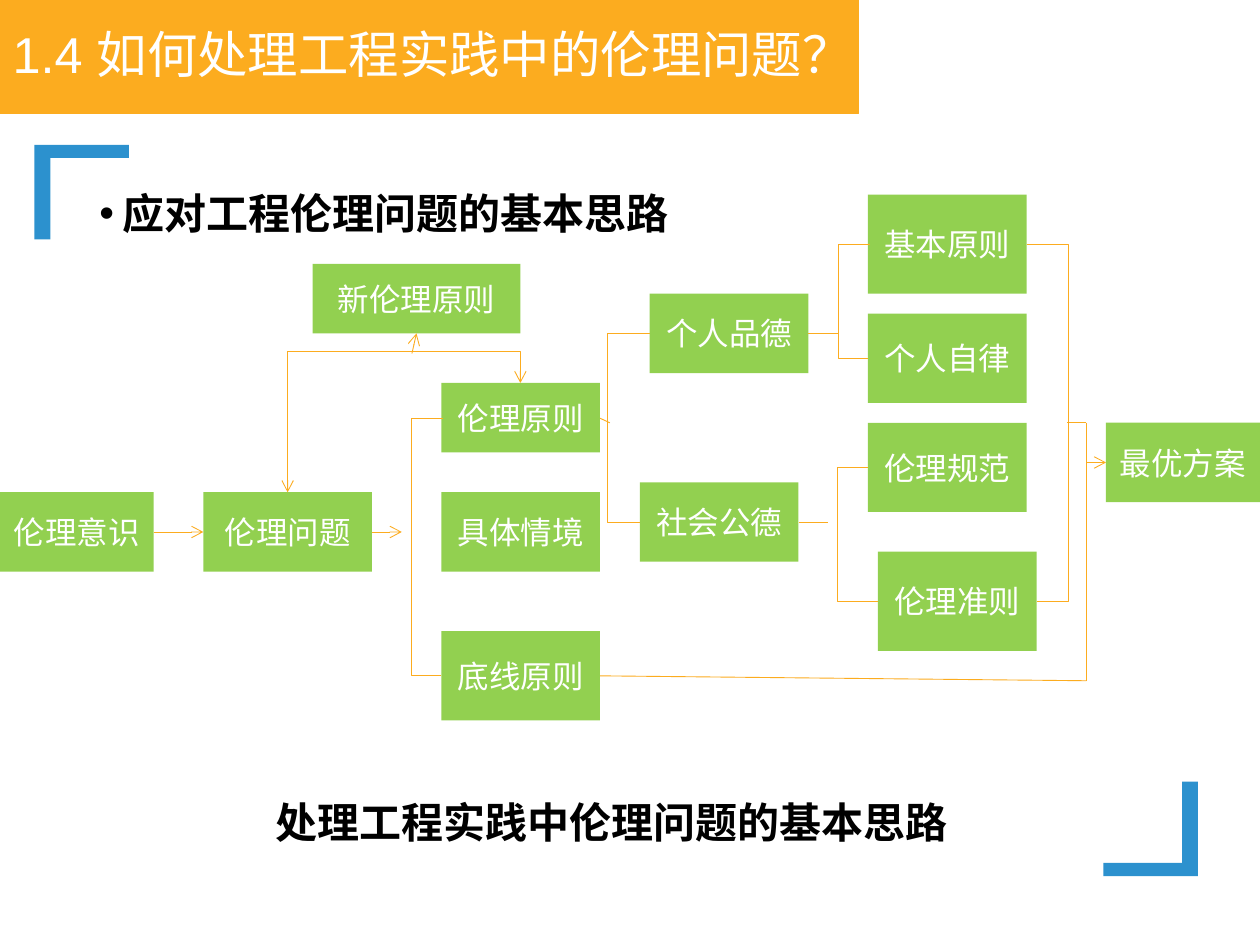
from lxml.etree import SubElement
from pptx import Presentation
from pptx.dml.color import RGBColor
from pptx.enum.shapes import MSO_CONNECTOR as CONNECTOR, MSO_SHAPE as SHAPE
from pptx.enum.text import MSO_ANCHOR as ANCHOR, MSO_AUTO_SIZE as AUTO_SIZE, PP_ALIGN as ALIGN
from pptx.oxml.ns import qn
from pptx.util import Pt

COLORS = {"orange": "FCAC1F", "green": "92D050", "blue": "2C91CE",
          "white": "FFFFFF", "black": "000000"}

# text, left, top, width, height
BOXES = [
    ("伦理意识", 0, 281.3, 87.8, 45.4),
    ("伦理问题", 116.2, 281.3, 96.4, 45.4),
    ("伦理原则", 252.2, 218.8, 90.7, 39.7),
    ("具体情境", 252.2, 281.3, 90.7, 45.4),
    ("底线原则", 252.2, 360.7, 90.7, 51),
    ("新伦理原则", 178.6, 150.8, 118.8, 39.7),
    ("个人品德", 371.3, 167.8, 90.7, 45.4),
    ("社会公德", 365.6, 275.6, 90.7, 45.4),
    ("基本原则", 496, 111.2, 90.7, 56.7),
    ("个人自律", 496, 179.2, 90.7, 51),
    ("伦理规范", 496, 241.6, 90.7, 51),
    ("伦理准则", 501.7, 315.3, 90.7, 56.7),
    ("最优方案", 632, 241.6, 88, 45.4),
]

# begin x, begin y, end x, end y
ARROWS = [
    (87.8, 304, 116.2, 304),
    (212.6, 304, 229.6, 304),
    (620.8, 264.3, 632, 264.3),
    (235.4, 202, 238, 190.5),
]
LINES = [
    (342.9, 386.2, 620.8, 389),
    (620.8, 389, 620.8, 241.6),
    (620.8, 241.6, 610, 241.6),
    (462, 190.5, 479, 190.5),
    (456.3, 298.3, 473, 298.3),
    (342.9, 239, 348.5, 241.6),
]

# begin x, begin y, end x, end y, x of the upright part
BRACKETS = [
    (253.2, 239, 252.2, 386.2, 235.2),
    (371.3, 190.5, 365.6, 298.3, 347.3),
    (497, 139.5, 496, 204.7, 479),
    (496, 267.1, 501.7, 343.6, 478.5),
    (586.7, 139.5, 592.4, 343.6, 610.4),
]


def rgb(name):
    return RGBColor.from_string(COLORS[name])


def format_text(paragraph, size, color, bold=False):
    font = paragraph.font
    font.name, font.size, font.bold = "Arial", Pt(size), bold
    font.color.rgb = rgb(color)


def add_title(slide, text):
    title = slide.shapes.title
    title.left, title.top, title.width, title.height = Pt(0), Pt(0), Pt(490.6), Pt(65)
    title.fill.solid()
    title.fill.fore_color.rgb = rgb("orange")
    title.line.color.rgb = rgb("orange")
    title.line.width = Pt(0.75)
    frame = title.text_frame
    frame.text = text
    frame.word_wrap = True
    frame.auto_size = AUTO_SIZE.NONE
    frame.vertical_anchor = ANCHOR.MIDDLE
    paragraph = frame.paragraphs[0]
    paragraph.alignment = ALIGN.LEFT
    paragraph.line_spacing = 0.9
    format_text(paragraph, 28.8, "white")


def add_heading(slide, text, left, top, width, height):
    """Add bold black text and return its paragraph."""
    frame = slide.shapes.add_textbox(Pt(left), Pt(top), Pt(width), Pt(height)).text_frame
    frame.word_wrap = True
    paragraph = frame.paragraphs[0]
    paragraph.text = text
    format_text(paragraph, 24, "black", bold=True)
    return paragraph


def add_bullet(paragraph, indent):
    properties = paragraph._p.get_or_add_pPr()
    properties.set("marL", str(Pt(indent)))
    properties.set("indent", str(-Pt(indent)))
    SubElement(properties, qn("a:buFont")).set("typeface", "Arial")
    SubElement(properties, qn("a:buChar")).set("char", "•")


def add_filled_shape(slide, kind, color, left, top, width, height):
    shape = slide.shapes.add_shape(kind, Pt(left), Pt(top), Pt(width), Pt(height))
    shape.shadow.inherit = False
    shape.fill.solid()
    shape.fill.fore_color.rgb = rgb(color)
    shape.line.fill.background()
    return shape


def add_corner(slide, left, top, rotation):
    corner = add_filled_shape(slide, SHAPE.CORNER, "blue", left, top, 54, 54)
    corner.rotation = rotation
    corner.adjustments[0], corner.adjustments[1] = 0.167, 0.139


def add_box(slide, text, *place):
    frame = add_filled_shape(slide, SHAPE.RECTANGLE, "green", *place).text_frame
    frame.word_wrap = True
    frame.vertical_anchor = ANCHOR.MIDDLE
    paragraph = frame.paragraphs[0]
    paragraph.text = text
    paragraph.alignment = ALIGN.CENTER
    format_text(paragraph, 18, "white")


def add_line(slide, ends, kind=CONNECTOR.STRAIGHT, arrows=()):
    """Add a connector; arrows may hold "headEnd" and "tailEnd", in that order."""
    connector = slide.shapes.add_connector(kind, *map(Pt, ends))
    connector.line.color.rgb = rgb("orange")
    connector.line.width = Pt(0.5)
    for end in arrows:
        SubElement(connector.line._get_or_add_ln(), qn(f"a:{end}")).set("type", "arrow")
    SubElement(connector._element.spPr, qn("a:effectLst"))
    return connector


def set_bend(connector, fraction):
    """Place the middle part at a fraction of the way from begin to end."""
    geometry = connector._element.spPr.find(qn("a:prstGeom"))
    guides = geometry.find(qn("a:avLst"))
    if guides is None:
        guides = SubElement(geometry, qn("a:avLst"))
    guide = SubElement(guides, qn("a:gd"))
    guide.set("name", "adj1")
    guide.set("fmla", f"val {round(fraction * 100000)}")


def add_bracket(slide, begin_x, begin_y, end_x, end_y, middle_x):
    connector = add_line(slide, (begin_x, begin_y, end_x, end_y), CONNECTOR.ELBOW)
    set_bend(connector, (middle_x - begin_x) / (end_x - begin_x))


def add_upright_elbow(slide, begin_x, begin_y, end_x, end_y, middle_y):
    """Add a two-headed elbow that leaves and arrives vertically."""
    center_x, center_y = (begin_x + end_x) / 2, (begin_y + end_y) / 2
    half_run, half_rise = (end_y - begin_y) / 2, (begin_x - end_x) / 2
    turned = (center_x + half_run, center_y + half_rise,
              center_x - half_run, center_y - half_rise)
    connector = add_line(slide, turned, CONNECTOR.ELBOW, ("headEnd", "tailEnd"))
    connector._element.spPr.find(qn("a:xfrm")).set("rot", str(270 * 60000))
    set_bend(connector, (middle_y - begin_y) / (end_y - begin_y))


def main():
    presentation = Presentation()
    presentation.slide_width, presentation.slide_height = Pt(720), Pt(540)
    slide = presentation.slides.add_slide(presentation.slide_layouts[5])

    add_title(slide, "1.4 如何处理工程实践中的伦理问题？")
    topic = add_heading(slide, "应对工程伦理问题的基本思路", 49.7, 65.5, 620.6, 374.4)
    topic.alignment = ALIGN.JUSTIFY
    topic.line_spacing = Pt(67)
    add_bullet(topic, 13.5)

    add_corner(slide, 19.7, 82.8, 90)
    add_corner(slide, 630.5, 446.6, 270)
    for box in BOXES:
        add_box(slide, *box)
    for bracket in BRACKETS:
        add_bracket(slide, *bracket)
    add_upright_elbow(slide, 297.4, 218.8, 164.4, 281.3, 200.8)
    for ends in ARROWS:
        add_line(slide, ends, arrows=("tailEnd",))
    for ends in LINES:
        add_line(slide, ends)

    add_heading(slide, "处理工程实践中伦理问题的基本思路", 150.5, 451.4, 408.2, 36.7)
    presentation.save("out.pptx")


if __name__ == "__main__":
    main()
